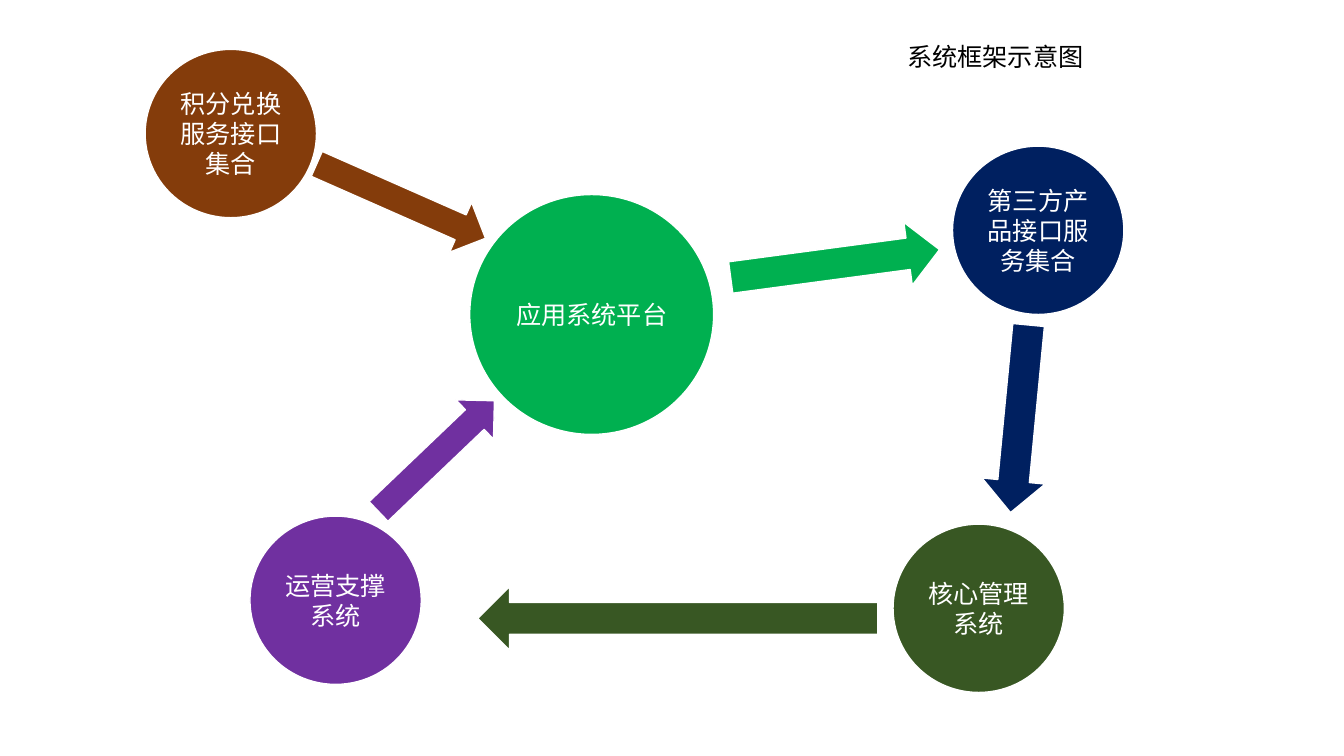
from dataclasses import dataclass

import pptx
import pptx.dml.color
import pptx.enum.shapes
import pptx.enum.text
import pptx.util

Pt = pptx.util.Pt
RGBColor = pptx.dml.color.RGBColor
Kind = pptx.enum.shapes.MSO_SHAPE
Align = pptx.enum.text.PP_ALIGN
Anchor = pptx.enum.text.MSO_ANCHOR

WHITE = RGBColor(0xFF, 0xFF, 0xFF)
BLACK = RGBColor(0x00, 0x00, 0x00)
BROWN = RGBColor(0x84, 0x3C, 0x0B)
GREEN = RGBColor(0x00, 0xB0, 0x50)
NAVY = RGBColor(0x00, 0x20, 0x60)
OLIVE = RGBColor(0x38, 0x57, 0x23)
PURPLE = RGBColor(0x70, 0x30, 0xA0)
FONT = "Calibri"


@dataclass
class Node:
    text: str
    left: float
    top: float
    color: RGBColor
    width: float = 122.4
    height: float = 120.24


@dataclass
class Arrow:
    kind: Kind
    left: float
    top: float
    width: float
    height: float
    turn: float
    color: RGBColor


NODES = [
    Node("积分兑换服务接口集合", 103.68, 35.28, BROWN),
    Node("应用系统平台", 335.52, 138.96, GREEN, 174.24, 171.36),
    Node("第三方产品接口服务集合", 680.4, 104.4, NAVY),
    Node("核心管理系统", 637.92, 374.4, OLIVE),
    Node("运营支撑系统", 178.56, 368.64, PURPLE),
]

ARROWS = [
    Arrow(Kind.RIGHT_ARROW, 521.28, 165.6, 150.48, 45.36, 352.4, GREEN),
    Arrow(Kind.RIGHT_ARROW, 660.96, 276.48, 134.64, 45.36, 95.5, NAVY),
    Arrow(Kind.DOWN_ARROW, 267.12, 77.76, 38.88, 131.76, 293.8, BROWN),
    Arrow(Kind.DOWN_ARROW, 292.32, 268.56, 38.88, 114.48, 226.3, PURPLE),
    Arrow(Kind.RIGHT_ARROW, 341.28, 419.04, 285.84, 45.36, 180, OLIVE),
]


def add_shape(slide, kind: Kind, left: float, top: float, width: float,
              height: float, fill: RGBColor | None, line: float = 1):
    shape = slide.shapes.add_shape(
        kind, Pt(left), Pt(top), Pt(width), Pt(height))
    shape.shadow.inherit = False
    if fill is None:
        shape.fill.background()
    else:
        shape.fill.solid()
        shape.fill.fore_color.rgb = fill
    shape.line.color.rgb = WHITE
    shape.line.width = Pt(line)
    return shape


def put_text(shape, text: str, *, color: RGBColor = WHITE, size: float = 18,
             align: Align = Align.CENTER, anchor: Anchor = Anchor.MIDDLE) -> None:
    frame = shape.text_frame
    frame.word_wrap = True
    frame.vertical_anchor = anchor
    para = frame.paragraphs[0]
    para.alignment = align
    run = para.add_run()
    run.text = text
    run.font.name = FONT
    run.font.size = Pt(size)
    run.font.color.rgb = color


def draw_node(slide, node: Node) -> None:
    shape = add_shape(slide, Kind.OVAL, node.left, node.top,
                      node.width, node.height, node.color)
    put_text(shape, node.text)


def draw_arrow(slide, arrow: Arrow) -> None:
    shape = add_shape(slide, arrow.kind, arrow.left, arrow.top,
                      arrow.width, arrow.height, arrow.color)
    shape.rotation = arrow.turn


def draw_title(slide) -> None:
    shape = add_shape(slide, Kind.RECTANGLE, 640.8, 25.92, 284.4, 28.8,
                      None, line=0.75)
    put_text(shape, "系统框架示意图", color=BLACK, align=Align.LEFT,
             anchor=Anchor.TOP)
    shape.text_frame.auto_size = pptx.enum.text.MSO_AUTO_SIZE.SHAPE_TO_FIT_TEXT


def main() -> None:
    deck = pptx.Presentation()
    deck.slide_width = Pt(960)
    deck.slide_height = Pt(540)
    slide = deck.slides.add_slide(deck.slide_layouts[6])
    for node in NODES:
        draw_node(slide, node)
    for arrow in ARROWS:
        draw_arrow(slide, arrow)
    draw_title(slide)
    deck.save("out.pptx")


if __name__ == "__main__":
    main()
